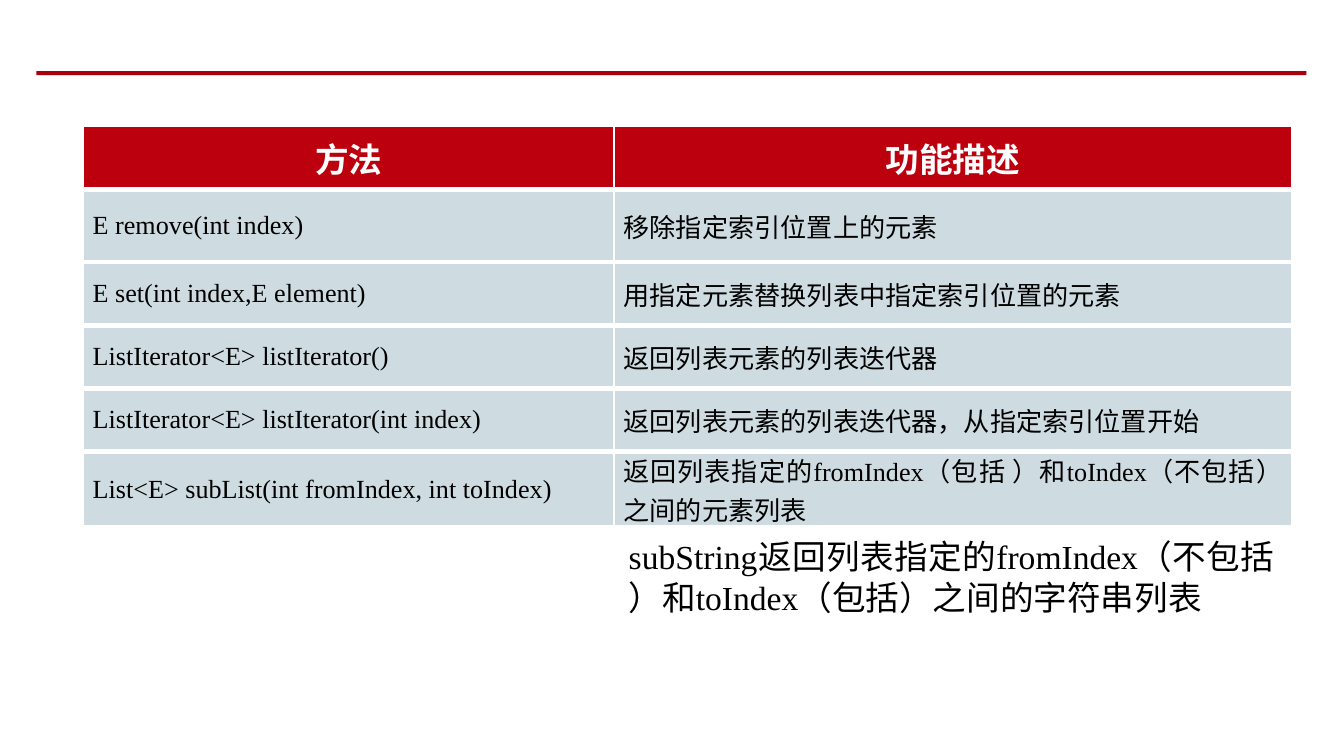
from lxml.etree import SubElement
from pptx import Presentation
from pptx.dml.color import RGBColor
from pptx.enum.lang import MSO_LANGUAGE_ID
from pptx.enum.shapes import MSO_SHAPE
from pptx.enum.text import MSO_ANCHOR, PP_ALIGN
from pptx.oxml.ns import qn
from pptx.util import Inches, Pt

METHODS = [
    ("方法", "功能描述"),
    ("E remove(int index)", "移除指定索引位置上的元素"),
    ("E set(int index,E element)", "用指定元素替换列表中指定索引位置的元素"),
    ("ListIterator<E> listIterator()", "返回列表元素的列表迭代器"),
    ("ListIterator<E> listIterator(int index)", "返回列表元素的列表迭代器，从指定索引位置开始"),
    ("List<E> subList(int fromIndex, int toIndex)",
     "返回列表指定的fromIndex（包括 ）和toIndex（不包括）之间的元素列表"),
]
NOTE = "subString返回列表指定的fromIndex（不包括 ）和toIndex（包括）之间的字符串列表"


def rgb(value):
    return RGBColor.from_string(value)


def write(tf, text, size=14, color="000000", bold=False, align=PP_ALIGN.JUSTIFY, spacing=None):
    p = tf.paragraphs[0]
    p.alignment = align
    p.line_spacing = spacing
    r = p.add_run()
    r.text = text
    r.font.name = "Times New Roman"
    r.font.size = Pt(size)
    r.font.bold = bold
    r.font.color.rgb = rgb(color)
    r.font.language_id = MSO_LANGUAGE_ID.SIMPLIFIED_CHINESE


class MethodSlide:
    """Draws the elements of a method table slide in one style."""

    rule, header, body, border = "AA000B", "BC000D", "CEDCE1", "FFFFFF"

    def __init__(self, prs):
        self.s = prs.slides.add_slide(prs.slide_layouts[6])

    def bar(self, x, y, w, h):
        sp = self.s.shapes.add_shape(MSO_SHAPE.RECTANGLE, Inches(x), Inches(y), Inches(w), Inches(h))
        sp.shadow.inherit = False
        sp.fill.solid()
        sp.fill.fore_color.rgb = rgb(self.rule)
        sp.line.fill.background()

    def borders(self, cell, **widths):
        tc_pr = cell._tc.get_or_add_tcPr()
        for side, width in widths.items():
            ln = SubElement(tc_pr, qn(f"a:ln{side}"), w=str(Pt(width)))
            fill = SubElement(ln, qn("a:solidFill"))
            SubElement(fill, qn("a:srgbClr"), val=self.border)

    def cell(self, cell, text, is_header):
        cell.vertical_anchor = MSO_ANCHOR.MIDDLE
        cell.margin_left = cell.margin_right = Inches(0.07)
        cell.margin_top = cell.margin_bottom = 0
        self.borders(cell, L=1, R=1, T=1 if is_header else 3, B=3)
        cell.fill.solid()
        cell.fill.fore_color.rgb = rgb(self.header if is_header else self.body)
        if is_header:
            write(cell.text_frame, text, size=18, color="FFFFFF", bold=True, align=PP_ALIGN.CENTER)
        else:
            write(cell.text_frame, text)

    def table(self, x, y, widths, heights, rows):
        table = self.s.shapes.add_table(
            len(rows), len(widths), Inches(x), Inches(y),
            Inches(sum(widths)), Inches(sum(heights))).table
        for column, width in zip(table.columns, widths):
            column.width = Inches(width)
        for i, (height, texts) in enumerate(zip(heights, rows)):
            table.rows[i].height = Inches(height)
            for j, text in enumerate(texts):
                self.cell(table.cell(i, j), text, i == 0)

    def note(self, x, y, w, h, text):
        tf = self.s.shapes.add_textbox(Inches(x), Inches(y), Inches(w), Inches(h)).text_frame
        tf.word_wrap = True
        write(tf, text, size=18, spacing=Pt(22))


def main():
    prs = Presentation()
    prs.slide_width = Inches(10)
    prs.slide_height = prs.slide_width * 9 // 16
    slide = MethodSlide(prs)
    slide.bar(0.27, 0.53, 9.45, 0.03)
    slide.table(0.62, 0.94, [3.95, 5.04], [0.47, 0.54] + [0.47] * 4, METHODS)
    slide.note(4.58, 3.93, 5, 0.71, NOTE)
    prs.save("out.pptx")


if __name__ == "__main__":
    main()
